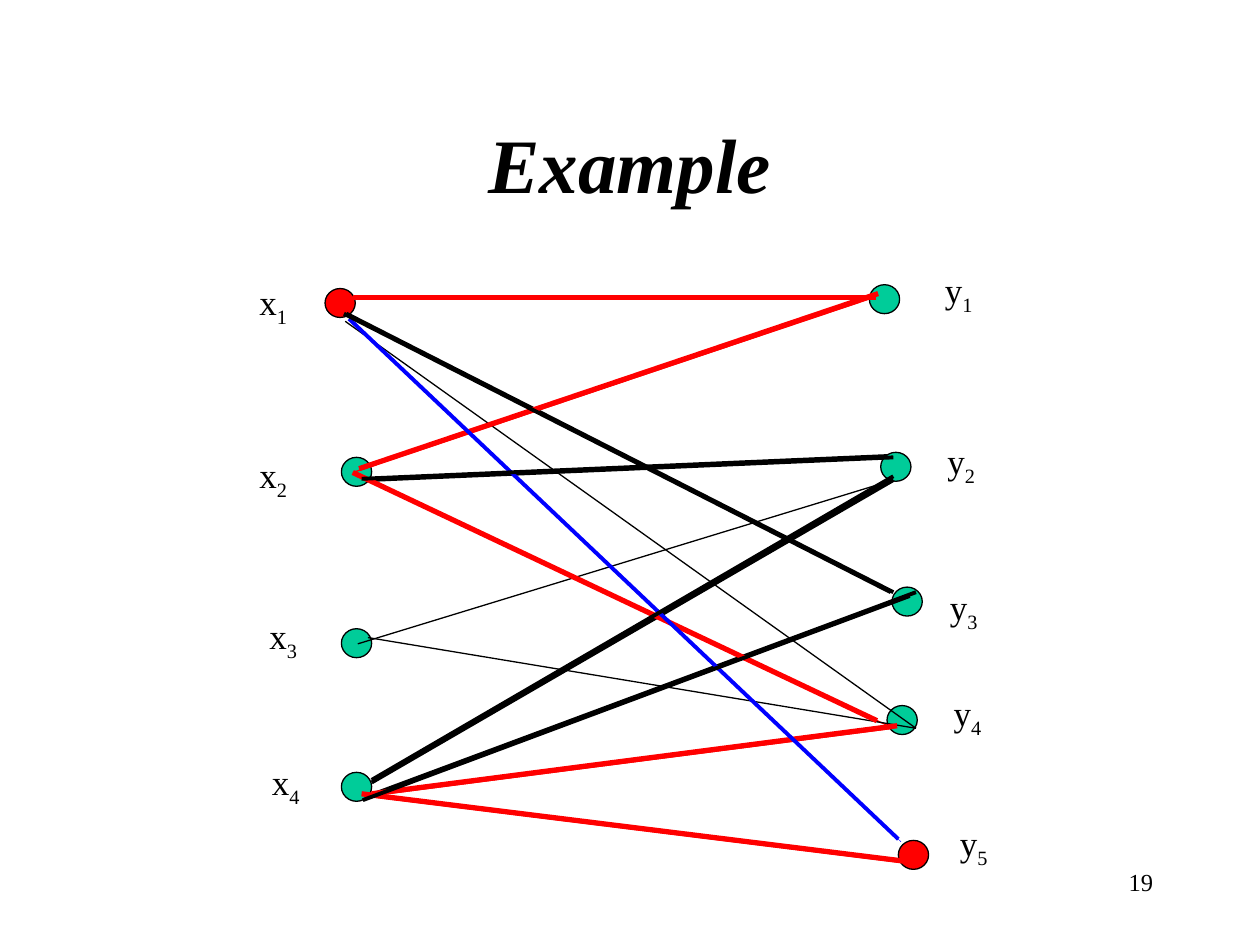
import dataclasses

import pptx
import pptx.dml.color
import pptx.enum.shapes
import pptx.enum.text
import pptx.oxml.ns
import pptx.util
from lxml import etree
from pptx.util import Inches


@dataclasses.dataclass(frozen=True)
class Theme:
    font: str = "Times New Roman"
    black: str = "000000"
    red: str = "FF0000"
    green: str = "00CC99"
    blue: str = "0000FF"
    title_size: float = 44
    label_size: float = 20
    number_size: float = 14
    hairline: float = 0.25
    thin: float = 0.75
    medium: float = 2.25
    thick: float = 3


THEME = Theme()
NODE_SIZE = (0.24, 0.23)

# Name, node left and top, label left and top, label width, fill; offsets in the graph box
NODES = [
    ("x1", (1.58, 0.29), (0.96, 0.18), 1.23, THEME.red),
    ("x2", (1.71, 1.63), (0.96, 1.55), 1.23, THEME.green),
    ("x3", (1.71, 2.99), (1.04, 2.83), 1.23, THEME.green),
    ("x4", (1.71, 4.13), (1.06, 3.99), 0.93, THEME.green),
    ("y1", (5.90, 0.26), (6.40, 0.08), 1.22, THEME.green),
    ("y2", (5.99, 1.59), (6.42, 1.44), 1.23, THEME.green),
    ("y3", (6.08, 2.66), (6.44, 2.60), 1.23, THEME.green),
    ("y4", (6.04, 3.60), (6.47, 3.44), 1.23, THEME.green),
    ("y5", (6.13, 4.67), (6.52, 4.47), 1.23, THEME.red),
]

# Colour, width and end points of each group of edges, from back to front
EDGES = [
    (THEME.red, THEME.thin, [
        (1.75, 0.36, 5.91, 0.37),
        (1.80, 1.75, 5.91, 0.37),
    ]),
    (THEME.black, THEME.thin, [
        (1.84, 3.11, 6.09, 1.81),
        (1.74, 0.55, 6.27, 3.78),
    ]),
    (THEME.black, THEME.medium, [
        (1.95, 4.21, 6.09, 1.81),
        (1.75, 0.49, 6.09, 2.70),
    ]),
    (THEME.blue, THEME.hairline, [(1.80, 0.55, 6.15, 4.68)]),
    (THEME.black, THEME.medium, [(1.92, 1.81, 6.09, 1.63)]),
    (THEME.red, THEME.thin, [(1.92, 1.81, 6.09, 3.78)]),
    (THEME.black, THEME.medium, [(1.92, 4.32, 6.27, 2.70)]),
    (THEME.red, THEME.thin, [
        (1.92, 4.32, 6.09, 3.78),
        (1.92, 4.32, 6.27, 4.86),
    ]),
    (THEME.black, THEME.thin, [(1.92, 3.06, 6.27, 3.78)]),
    (THEME.red, THEME.thick, [
        (1.80, 0.36, 5.95, 0.36),
        (1.85, 1.72, 5.97, 0.33),
        (1.80, 1.75, 5.96, 3.72),
        (1.95, 4.30, 6.12, 3.76),
        (1.87, 4.30, 6.22, 4.84),
    ]),
    (THEME.blue, THEME.medium, [(1.77, 0.53, 6.13, 4.66)]),
    (THEME.black, THEME.medium, [
        (1.73, 0.49, 6.07, 2.70),
        (1.88, 4.35, 6.22, 2.73),
        (1.95, 4.19, 6.09, 1.78),
        (1.87, 1.80, 6.04, 1.62),
    ]),
]


def rgb(value):
    return pptx.dml.color.RGBColor.from_string(value)


def write_text(shape, text, size, subscript="", bold=False, italic=False,
               align=pptx.enum.text.PP_ALIGN.LEFT,
               anchor=pptx.enum.text.MSO_ANCHOR.TOP):
    """Fill a shape with one formatted paragraph, with an optional subscript."""
    frame = shape.text_frame
    frame.word_wrap = True
    frame.vertical_anchor = anchor
    paragraph = frame.paragraphs[0]
    paragraph.alignment = align
    for part in filter(None, (text, subscript)):
        run = paragraph.add_run()
        run.text = part
        run.font.name = THEME.font
        run.font.size = pptx.util.Pt(size)
        run.font.bold = bold
        run.font.italic = italic
        run.font.color.rgb = rgb(THEME.black)
    if subscript:
        run._r.get_or_add_rPr().set("baseline", "-25000")


def add_title(slide, left, top, width, height):
    title = slide.shapes.title
    title.left, title.top = Inches(left), Inches(top)
    title.width, title.height = Inches(width), Inches(height)
    write_text(title, "Example", THEME.title_size, bold=True, italic=True,
               align=pptx.enum.text.PP_ALIGN.CENTER,
               anchor=pptx.enum.text.MSO_ANCHOR.MIDDLE)


def add_slide_number(slide, left, top, width, height):
    box = slide.shapes.add_textbox(
        Inches(left), Inches(top), Inches(width), Inches(height))
    write_text(box, "19", THEME.number_size,
               align=pptx.enum.text.PP_ALIGN.RIGHT)


def add_node(slide, left, top, fill):
    node = slide.shapes.add_shape(
        pptx.enum.shapes.MSO_SHAPE.OVAL, Inches(left), Inches(top),
        *map(Inches, NODE_SIZE))
    node.shadow.inherit = False
    node.fill.solid()
    node.fill.fore_color.rgb = rgb(fill)
    node.line.color.rgb = rgb(THEME.black)
    node.line.width = pptx.util.Pt(THEME.thin)


def add_edge(slide, start_x, start_y, end_x, end_y, color, width):
    edge = slide.shapes.add_connector(
        pptx.enum.shapes.MSO_CONNECTOR.STRAIGHT,
        Inches(start_x), Inches(start_y), Inches(end_x), Inches(end_y))
    edge.line.color.rgb = rgb(color)
    edge.line.width = pptx.util.Pt(width)
    etree.SubElement(edge._element.spPr, pptx.oxml.ns.qn("a:effectLst"))


def add_label(slide, left, top, width, name):
    box = slide.shapes.add_textbox(
        Inches(left), Inches(top), Inches(width), Inches(0.48))
    write_text(box, name[0], THEME.label_size, subscript=name[1:])
    box.text_frame.auto_size = pptx.enum.text.MSO_AUTO_SIZE.SHAPE_TO_FIT_TEXT


def add_graph(slide, left, top):
    """Draw the bipartite graph relative to its top left corner."""
    # Nodes and their labels
    for name, (node_x, node_y), (label_x, label_y), label_width, fill in NODES:
        add_node(slide, left + node_x, top + node_y, fill)
        add_label(slide, left + label_x, top + label_y, label_width, name)
    # Edges over the nodes
    for color, width, edges in EDGES:
        for x1, y1, x2, y2 in edges:
            add_edge(slide, left + x1, top + y1, left + x2, top + y2,
                     color, width)


def main():
    presentation = pptx.Presentation()
    presentation.slide_width = Inches(10)
    presentation.slide_height = Inches(7.5)
    slide = presentation.slides.add_slide(presentation.slide_layouts[5])
    slide.background.fill.solid()
    slide.background.fill.fore_color.rgb = rgb("FFFFFF")
    add_slide_number(slide, 7.17, 6.83, 2.08, 0.5)
    add_title(slide, 0.75, 0.67, 8.5, 1.25)
    add_graph(slide, 1, 2)
    presentation.save("out.pptx")


if __name__ == "__main__":
    main()
